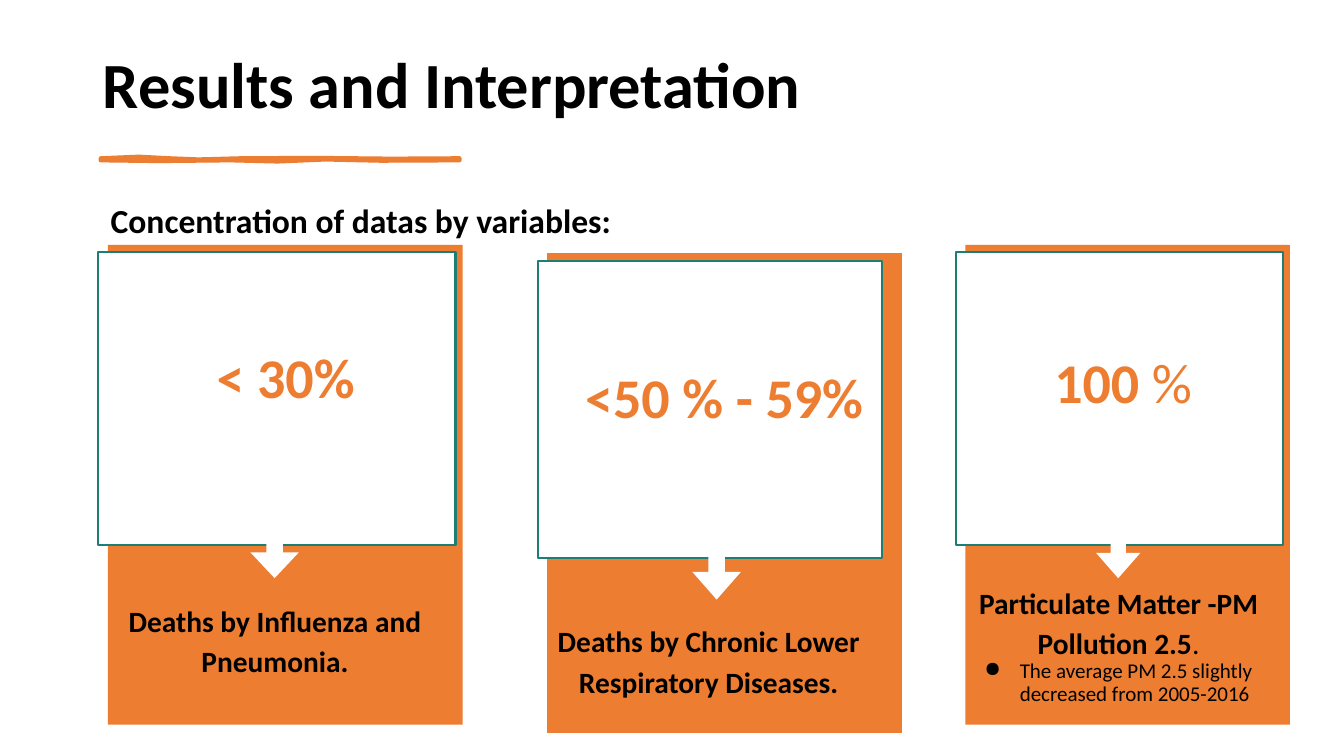
"""Build the results slide: three percentage cards under a title and subtitle."""
from lxml.etree import SubElement
from pptx import Presentation
from pptx.dml.color import RGBColor
from pptx.enum.shapes import MSO_SHAPE as Preset
from pptx.enum.text import MSO_ANCHOR as Anchor, PP_ALIGN as Align
from pptx.oxml.ns import qn
from pptx.util import Cm, Pt

COLORS = {"orange": "ED7D31", "teal": "1D7E74", "white": "FFFFFF", "black": "000000"}


def paint(shape, fill, line=None, width=1.5):
    shape.shadow.inherit = False
    shape.fill.solid()
    shape.fill.fore_color.rgb = RGBColor.from_string(COLORS[fill])
    if line:
        shape.line.color.rgb = RGBColor.from_string(COLORS[line])
        shape.line.width = Pt(width)
    else:
        shape.line.fill.background()


def add_text(shapes, box, paragraphs, color="black", align=Align.LEFT,
             anchor=Anchor.TOP, inset=(0.33, 0.33)):
    """Each paragraph is (line spacing, [(text, size, bold), ...])."""
    shape = shapes.add_textbox(*map(Cm, box))
    frame = shape.text_frame
    frame.word_wrap = True
    frame.vertical_anchor = anchor
    frame.margin_left = frame.margin_right = Cm(inset[0])
    frame.margin_top = frame.margin_bottom = Cm(inset[1])
    for index, (spacing, runs) in enumerate(paragraphs):
        paragraph = frame.add_paragraph() if index else frame.paragraphs[0]
        paragraph.alignment = align
        paragraph.line_spacing = spacing
        for text, size, bold in runs:
            run = paragraph.add_run()
            run.text = text
            run.font.name = "Calibri"
            run.font.size = Pt(size)
            run.font.bold = bold
            run.font.color.rgb = RGBColor.from_string(COLORS[color])
    return frame


presentation = Presentation()
presentation.slide_width = Cm(33.87)
presentation.slide_height = Cm(19.05)
slide = presentation.slides.add_slide(presentation.slide_layouts[6])

add_text(slide.shapes, (2.34, 0.36, 29.21, 3.68),
         [(0.9, [("Results and Interpretation", 46, True)])],
         anchor=Anchor.MIDDLE, inset=(0.25, 0.13))

underline_points = [
    (2.54, 3.99), (3.5, 3.95), (4.27, 3.99), (5, 4.02), (6.07, 3.99), (7.95, 3.98),
    (9.86, 4), (11.58, 3.99), (11.58, 4.04), (9.6, 4.05), (8.2, 4.02), (7, 4.07),
    (5.8, 4.04), (4, 4.06), (2.54, 4.04)]
start, *rest = [(Cm(x), Cm(y)) for x, y in underline_points]
builder = slide.shapes.build_freeform(*start)
builder.add_line_segments(rest, close=True)
paint(builder.convert_to_shape(), "orange", "orange", 3)

cards = [
    {"panel": (2.72, 6.17, 8.94, 12.09), "front": (2.46, 6.35, 9.02, 7.39),
     "value": (3.2, 8.31, 8, 2.01), "arrow": (6.35, 13.39, 1.14, 1.22),
     "caption": (2.46, 14.73, 8.94, 3.23), "anchor": Anchor.TOP,
     "value_runs": [("< 30%", 40, True)],
     "caption_runs": [("Deaths by Influenza and Pneumonia.", 21, True)]},
    {"panel": (13.79, 6.38, 8.94, 12.09), "front": (13.56, 6.58, 8.66, 7.49),
     "value": (14.25, 8.81, 8, 2.54), "arrow": (17.4, 13.84, 1.32, 1.22),
     "caption": (13.39, 15.25, 8.94, 3.14), "anchor": Anchor.TOP,
     "value_runs": [("<50 % - 59%", 40, True)],
     "caption_runs": [("Deaths by Chronic Lower Respiratory Diseases.", 21, True)]},
    {"panel": (24.33, 6.17, 8.18, 12.09), "front": (24.1, 6.35, 8.23, 7.39),
     "value": (24.66, 8.59, 7.29, 2.01), "arrow": (27.61, 13.44, 1.14, 1.12),
     "caption": (24.1, 14.27, 8.18, 3.68), "anchor": Anchor.MIDDLE,
     "value_runs": [("100 ", 40, True), ("%", 40, False)],
     "caption_runs": [("Particulate Matter -PM Pollution 2.5", 21, True), (".", 21, False)],
     "note": "The average PM 2.5 slightly decreased from 2005-2016"},
]

for card in cards:
    shapes = slide.shapes.add_group_shape().shapes
    paint(shapes.add_shape(Preset.RECTANGLE, *map(Cm, card["panel"])), "orange")
    paint(shapes.add_shape(Preset.RECTANGLE, *map(Cm, card["front"])), "white", "teal")
    add_text(shapes, card["value"], [(1.0, card["value_runs"])], "orange",
             Align.CENTER, card["anchor"])

    arrow = shapes.add_shape(Preset.RIGHT_ARROW, *map(Cm, card["arrow"]))
    arrow.rotation = 90
    arrow.adjustments[0] = 0.34
    arrow.adjustments[1] = 0.57
    paint(arrow, "white")

    paragraphs = [(1.15, card["caption_runs"])]
    if "note" in card:
        paragraphs.append((0.9, [(card["note"], 15, False)]))
    caption = add_text(shapes, card["caption"], paragraphs, align=Align.CENTER)
    for note in caption.paragraphs[1:]:
        note.alignment = Align.LEFT
        properties = note._p.get_or_add_pPr()
        properties.set("marL", str(int(Cm(1.27))))
        properties.set("indent", str(int(Cm(-0.89))))
        bullet_color = SubElement(properties, qn("a:buClr"))
        SubElement(bullet_color, qn("a:srgbClr")).set("val", COLORS["black"])
        SubElement(properties, qn("a:buChar")).set("char", "●")

add_text(slide.shapes, (2.54, 4.8, 23.34, 1.37),
         [(1.0, [("Concentration of datas by variables:", 24, True)])], inset=(0.25, 0.25))

presentation.save("out.pptx")
